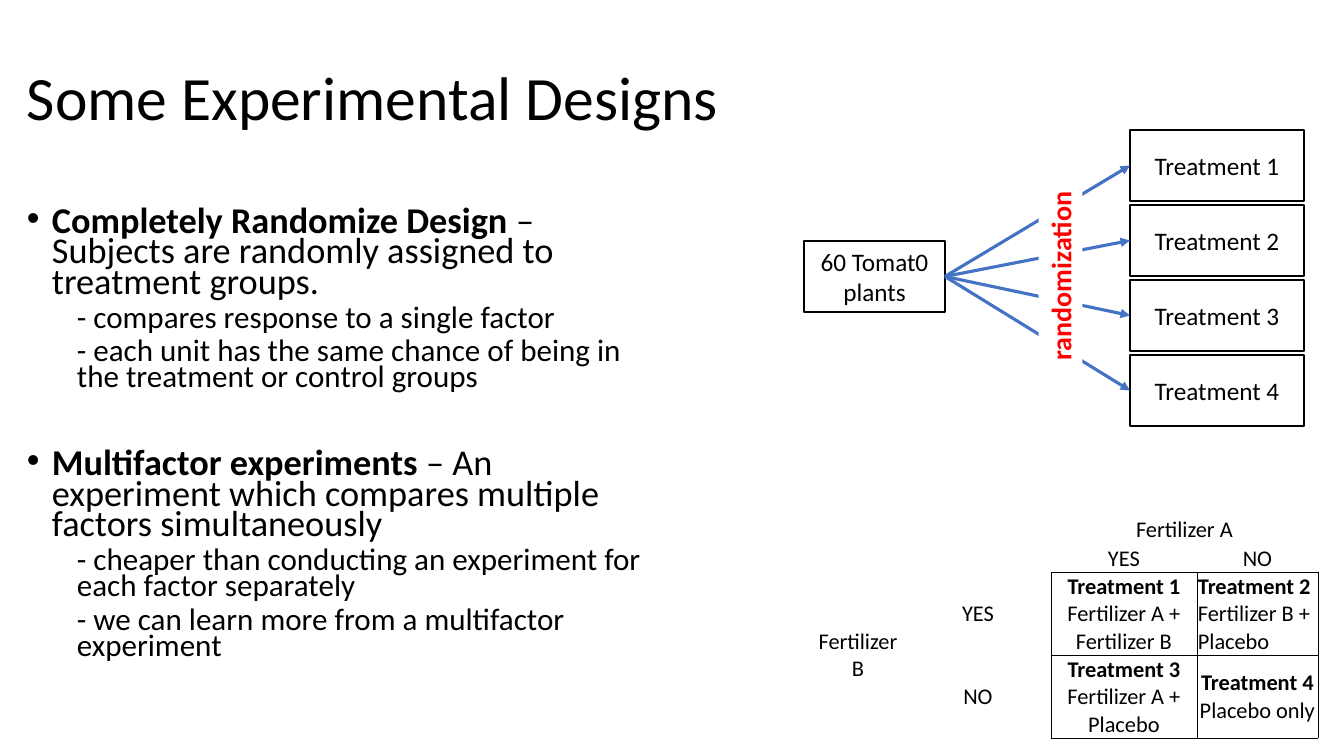
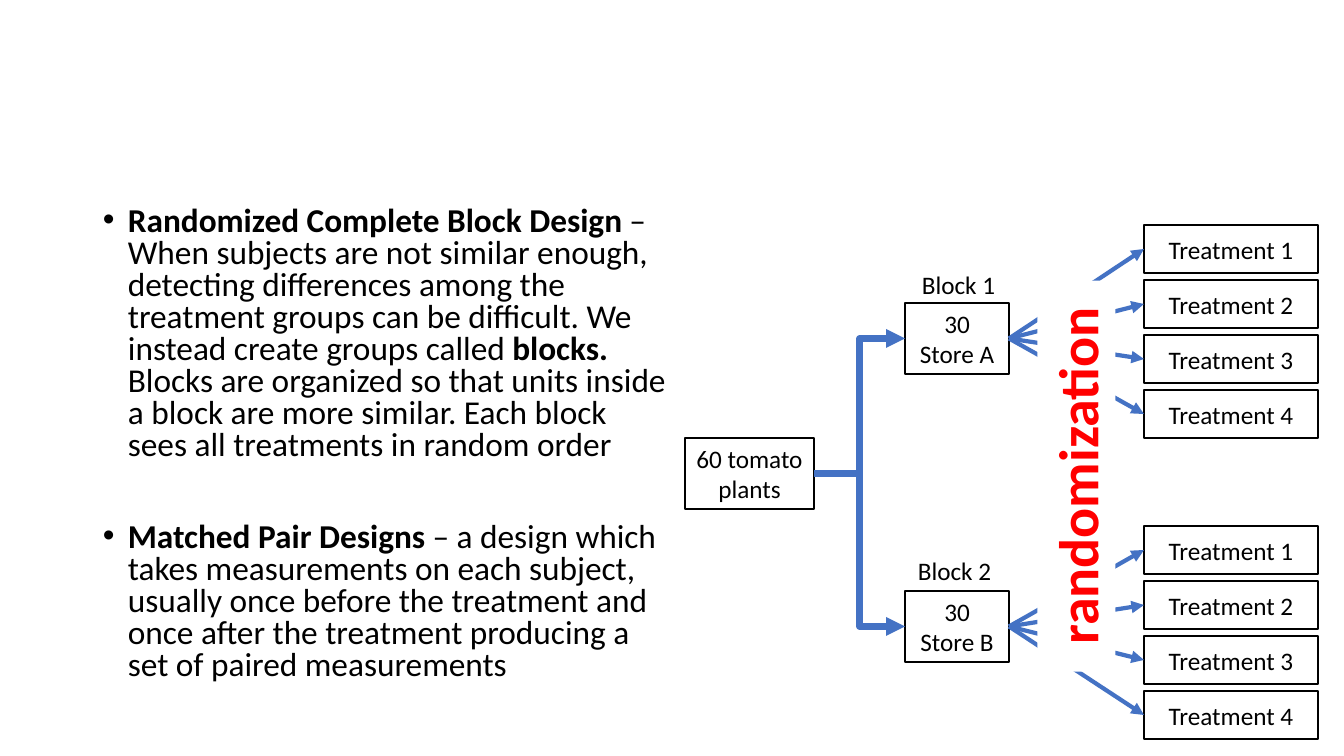
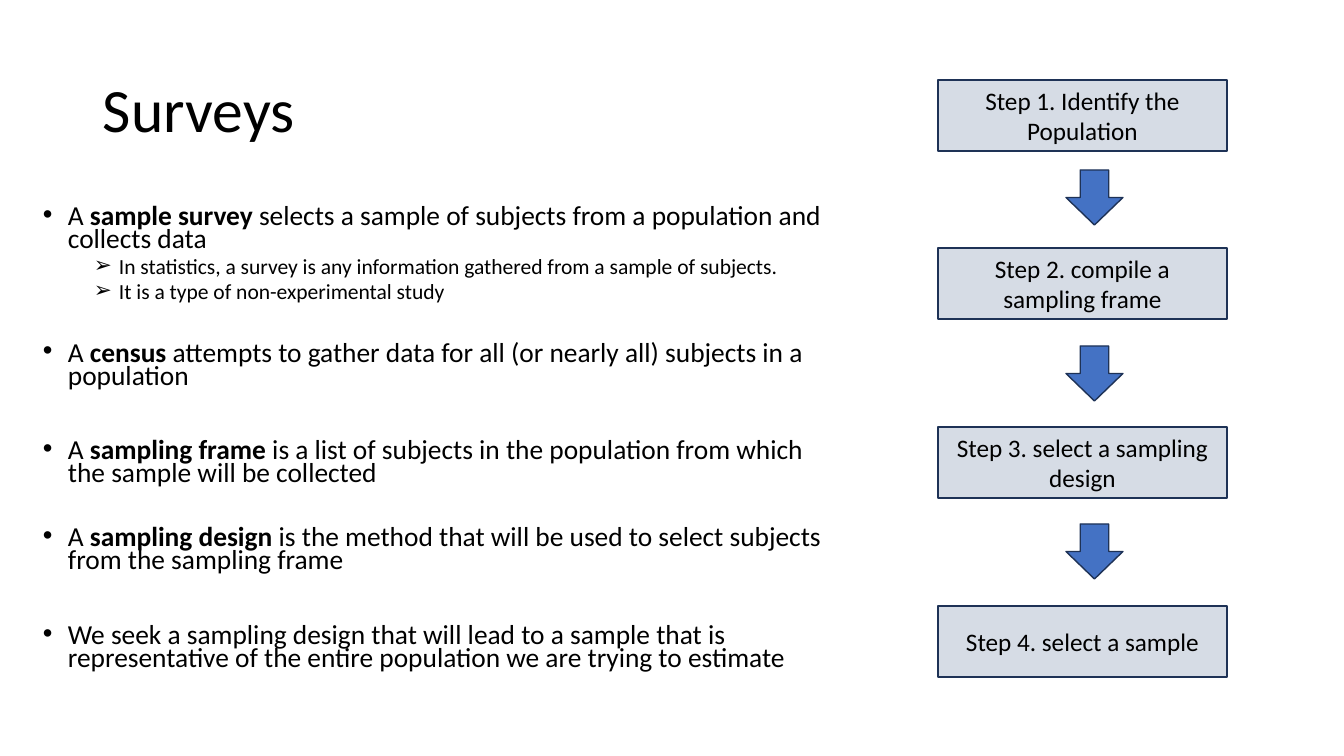
from dataclasses import dataclass

from lxml.etree import SubElement
from pptx import Presentation
from pptx.dml.color import RGBColor
from pptx.enum.shapes import MSO_CONNECTOR as Connector, MSO_SHAPE as Preset
from pptx.enum.text import MSO_ANCHOR as Anchor, MSO_AUTO_SIZE as AutoSize, PP_ALIGN as Align
from pptx.oxml.ns import qn
from pptx.util import Pt


@dataclass(frozen=True)
class Theme:
    font: str = "Calibri"
    black: str = "000000"
    white: str = "FFFFFF"
    red: str = "FF0000"
    blue: str = "4472C4"
    pale: str = "D6DCE5"
    navy: str = "1E3256"
    title: int = 44
    box: int = 18
    table: int = 16


THEME = Theme()
WIDTH, HEIGHT = 1344, 756
NO_TABLE_STYLE = "{2D5ABB26-0587-4C30-8999-92F81FD0307C}"

# ---- Content: **...** marks bold; body rows are (style, space before in pt, text) ----
# A style is (left margin px, first-line indent px, bullet, size pt)
TREATMENTS = [f"Treatment {number}" for number in range(1, 5)]

DESIGN_HEAD = (25, -25, "•", 25.9)
DESIGN_NOTE = (50, 0, None, 22.2)
DESIGNS = [
    (DESIGN_HEAD, 10, "**Completely Randomize Design **– Subjects are randomly assigned to treatment groups."),
    (DESIGN_NOTE, 5, "- compares response to a single factor"),
    (DESIGN_NOTE, 5, "- each unit has the same chance of being in the treatment or control groups"),
    (DESIGN_HEAD, 42, "**Multifactor experiments **– An experiment which compares multiple factors simultaneously"),
    (DESIGN_NOTE, 5, "- cheaper than conducting an experiment for each factor separately"),
    (DESIGN_NOTE, 5, "- we can learn more from a multifactor experiment"),
]

BLOCK_HEAD = (25, -25, "•", 23.8)
BLOCK_DESIGNS = [
    (BLOCK_HEAD, 10, "**Randomized Complete Block Design** – When subjects are not similar enough, "
     "detecting differences among the treatment groups can be difficult. We instead create groups "
     "called **blocks. **Blocks are organized so that units inside a block are more similar. "
     "Each block sees all treatments in random order"),
    (BLOCK_HEAD, 43, "**Matched Pair Designs** – a design which takes measurements on each subject, "
     "usually once before the treatment and once after the treatment producing a set of paired measurements"),
]

SURVEY_HEAD = (25, -25, "•", 19.6)
SURVEY_NOTE = (76, -25, "➢", 15.4)
SURVEYS = [
    (SURVEY_HEAD, 10, "A **sample survey **selects a sample of subjects from a population and collects data"),
    (SURVEY_NOTE, 5, "In statistics, a survey is any information gathered from a sample of subjects."),
    (SURVEY_NOTE, 5, "It is a type of non-experimental study"),
    (SURVEY_HEAD, 29, "A **census **attempts to gather data for all (or nearly all) subjects in a population"),
    (SURVEY_HEAD, 37, "A **sampling frame** is a list of subjects in the population from which the sample "
     "will be collected"),
    (SURVEY_HEAD, 29, "A **sampling design **is the method that will be used to select subjects from the "
     "sampling frame"),
    (SURVEY_HEAD, 37, "We seek a sampling design that will lead to a sample that is representative of the "
     "entire population we are trying to estimate"),
]

FACTOR_COLUMNS = [94, 146, 146, 121]
FACTOR_ROWS = [29, 28, 83, 83]
FACTORS = [
    ["", "", "Fertilizer A", ""],
    ["", "", "YES", "NO"],
    ["Fertilizer B", "YES", "**Treatment 1** Fertilizer A + Fertilizer B", "**Treatment 2** Fertilizer B + Placebo"],
    ["", "NO", "**Treatment 3 **Fertilizer A + Placebo", "**Treatment 4** Placebo only"],
]

# (store text, store top, label, label left, label top, first treatment top)
BLOCKS = [
    ("30 Store A", 303, "Block 1", 912, 264, 225),
    ("30 Store B", 591, "Block 2", 908, 550, 526),
]

STEPS = [
    (80, "Step 1. Identify the Population"),
    (248, "Step 2. compile a sampling frame"),
    (427, "Step 3. select a sampling design"),
    (606, "Step 4. select a sample"),
]
STEP_ARROW_TOPS = [170, 346, 524]


# ---- Helpers ----
def px(length):
    return round(length * 914400 / 100.8)


def color(value):
    return RGBColor.from_string(value)


def write(paragraph, text, size, ink=THEME.black, bold=None, align=None):
    font = paragraph.font
    font.name, font.size, font.bold = THEME.font, Pt(size), bold
    font.color.rgb = color(ink)
    paragraph.alignment = align
    for index, part in enumerate(text.split("**")):
        if part:
            run = paragraph.add_run()
            run.text = part
            if index % 2:
                run.font.bold = True


def add_text(slide, area, anchor=Anchor.TOP):
    frame = slide.shapes.add_textbox(*map(px, area)).text_frame
    frame.word_wrap = True
    frame.vertical_anchor = anchor
    return frame


def add_title(slide, left, top, text):
    paragraph = add_text(slide, (left, top, 1159, 146), Anchor.MIDDLE).paragraphs[0]
    paragraph.line_spacing = 0.9
    write(paragraph, text, THEME.title)


def add_body(slide, area, rows, line_spacing):
    frame = add_text(slide, area)
    for index, ((margin, indent, bullet, size), before, text) in enumerate(rows):
        paragraph = frame.add_paragraph() if index else frame.paragraphs[0]
        properties = paragraph._p.get_or_add_pPr()
        properties.set("marL", str(px(margin)))
        properties.set("indent", str(px(indent)))
        if bullet:
            SubElement(properties, qn("a:buFont")).set("typeface", "Arial")
            SubElement(properties, qn("a:buChar")).set("char", bullet)
        paragraph.line_spacing = line_spacing
        paragraph.space_before = Pt(before)
        write(paragraph, text, size)


def add_shape(slide, area, preset=Preset.RECTANGLE, fill=None, line=None, weight=1.5):
    shape = slide.shapes.add_shape(preset, *map(px, area))
    shape.shadow.inherit = False
    if fill:
        shape.fill.solid()
        shape.fill.fore_color.rgb = color(fill)
    else:
        shape.fill.background()
    if line:
        shape.line.color.rgb = color(line)
        shape.line.width = Pt(weight)
    else:
        shape.line.fill.background()
    return shape


def add_box(slide, area, text, fill=None, line=THEME.black, weight=1.5):
    shape = add_shape(slide, area, fill=fill, line=line, weight=weight)
    shape.text_frame.word_wrap = True
    shape.text_frame.vertical_anchor = Anchor.MIDDLE
    write(shape.text_frame.paragraphs[0], text, THEME.box, align=Align.CENTER)
    return shape


def add_treatments(slide, left, top, pitch, height):
    return [add_box(slide, (left, top + index * pitch, 174, height), text)
            for index, text in enumerate(TREATMENTS)]


def add_arrows(slide, source, targets, weight, kind=Connector.STRAIGHT):
    """Arrows from the right side of source to the left side of each target."""
    for target in targets:
        connector = slide.shapes.add_connector(kind, 0, 0, 0, 0)
        connector.begin_connect(source, 3)
        connector.end_connect(target, 1)
        connector.line.color.rgb = color(THEME.blue)
        connector.line.width = Pt(weight)
        properties = connector._element.spPr
        SubElement(properties.find(qn("a:ln")), qn("a:tailEnd")).set("type", "triangle")
        SubElement(properties, qn("a:effectLst"))


def add_randomization(slide, area, size):
    shape = add_shape(slide, area, fill=THEME.white)
    shape.rotation = 270
    shape.text_frame.word_wrap = True
    shape.text_frame.vertical_anchor = Anchor.TOP
    write(shape.text_frame.paragraphs[0], "randomization", size, THEME.red, True, Align.CENTER)


def add_borders(cell):
    properties = cell._tc.get_or_add_tcPr()
    for side in ("lnL", "lnR", "lnT", "lnB"):
        line = SubElement(properties, qn(f"a:{side}"))
        line.set("w", str(Pt(0.5)))
        fill = SubElement(line, qn("a:solidFill"))
        SubElement(fill, qn("a:srgbClr")).set("val", THEME.black)


def add_factor_table(slide, left, top):
    area = (left, top, sum(FACTOR_COLUMNS), sum(FACTOR_ROWS))
    table = slide.shapes.add_table(len(FACTOR_ROWS), len(FACTOR_COLUMNS), *map(px, area)).table
    table.first_row = table.horz_banding = False
    table._tbl.tblPr.find(qn("a:tableStyleId")).text = NO_TABLE_STYLE
    for column, width in zip(table.columns, FACTOR_COLUMNS):
        column.width = px(width)
    for row, height in zip(table.rows, FACTOR_ROWS):
        row.height = px(height)
    table.cell(0, 2).merge(table.cell(0, 3))
    table.cell(2, 0).merge(table.cell(3, 0))
    for row, texts in enumerate(FACTORS):
        for column, text in enumerate(texts):
            cell = table.cell(row, column)
            left_aligned = (row, column) == (2, 3)
            if row > 1 and column > 1:
                add_borders(cell)
            cell.fill.background()
            cell.margin_left = cell.margin_right = cell.margin_top = px(1)
            cell.margin_bottom = 0
            cell.vertical_anchor = Anchor.BOTTOM if row < 2 or left_aligned else Anchor.MIDDLE
            paragraph = cell.text_frame.paragraphs[0]
            write(paragraph, text, THEME.table, align=Align.LEFT if left_aligned else Align.CENTER)
            if not text:
                SubElement(paragraph._p, qn("a:endParaRPr")).set("sz", str(THEME.table * 100))


# ---- Slides ----
def build_designs(slide):
    add_title(slide, 17, 28, "Some Experimental Designs")
    add_body(slide, (17, 204, 657, 480), DESIGNS, 0.7)
    add_factor_table(slide, 811, 515)
    plants = add_box(slide, (804, 241, 141, 71), "60 Tomat0 plants")
    treatments = add_treatments(slide, 1130, 130, 75, 71)
    add_arrows(slide, plants, treatments, 2.25)
    add_randomization(slide, (965, 254, 191, 44), 20)


def build_blocks(slide):
    add_body(slide, (93, 202, 588, 525), BLOCK_DESIGNS, 0.8)
    plants = add_box(slide, (685, 438, 129, 71), "60 tomato plants")
    stores = []
    for store_text, store_top, label, label_left, label_top, first_top in BLOCKS:
        store = add_box(slide, (905, store_top, 104, 71), store_text)
        add_arrows(slide, store, add_treatments(slide, 1144, first_top, 55, 48), 3)
        frame = add_text(slide, (label_left, label_top, 95, 40))
        frame.word_wrap = False
        frame.auto_size = AutoSize.SHAPE_TO_FIT_TEXT
        write(frame.paragraphs[0], label, THEME.box)
        stores.append(store)
    add_randomization(slide, (881, 437, 391, 78), 40)
    add_arrows(slide, plants, stores, 4.5, Connector.ELBOW)


def build_surveys(slide):
    add_title(slide, 93, 40, "Surveys")
    add_body(slide, (33, 202, 805, 534), SURVEYS, 0.7)
    for top, text in STEPS:
        add_box(slide, (938, top, 289, 71), text, THEME.pale, THEME.navy, 1)
    for top in STEP_ARROW_TOPS:
        add_shape(slide, (1066, top, 57, 55), Preset.DOWN_ARROW, THEME.blue, THEME.navy, 1)


def main():
    presentation = Presentation()
    presentation.slide_width, presentation.slide_height = px(WIDTH), px(HEIGHT)
    for build in (build_designs, build_blocks, build_surveys):
        build(presentation.slides.add_slide(presentation.slide_layouts[6]))
    presentation.save("out.pptx")


if __name__ == "__main__":
    main()
